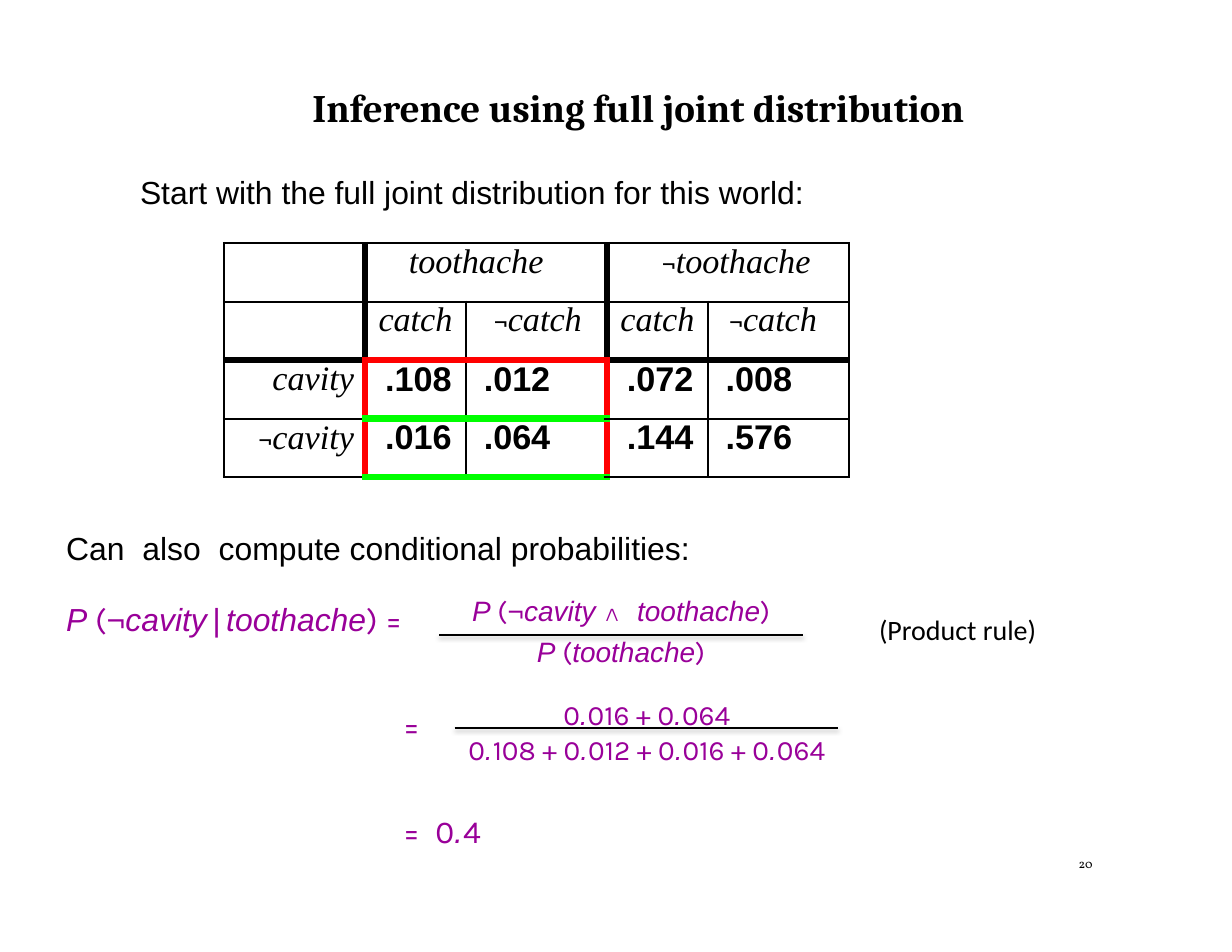
from dataclasses import dataclass, replace

import lxml.etree
import pptx
import pptx.dml.color
import pptx.enum.shapes
import pptx.enum.text
import pptx.oxml.ns
import pptx.util

Inches = pptx.util.Inches
Pt = pptx.util.Pt
Align = pptx.enum.text.PP_ALIGN
qn = pptx.oxml.ns.qn


@dataclass(frozen=True)
class Theme:
    black: str = "000000"
    formula: str = "990099"
    event: str = "FF0000"
    outcome: str = "00FF00"
    title: float = 25
    body: float = 20.5
    cell: float = 22
    math: float = 18
    page: float = 8
    thin: float = 1.57
    thick: float = 4.71
    rule: float = 0.75


@dataclass(frozen=True)
class Face:
    font: str
    size: float
    color: str = "000000"
    bold: bool = False
    italic: bool = False


@dataclass(frozen=True)
class Segment:
    text: str
    face: Face
    spacing: float = 0


@dataclass(frozen=True)
class Line:
    segments: list[Segment]
    align: Align = Align.LEFT
    indent: float = 0
    height: float | None = None
    before: float | None = None
    after: float | None = None


THEME = Theme()
PROSE = Face("Arial", THEME.body)
VARIABLE = Face("Arial", THEME.math, THEME.formula, italic=True)
NUMBER = Face("Karla", THEME.math, THEME.formula)
SYMBOL = Face("Courier New", THEME.math, THEME.formula)
NAME = Face("Times New Roman", THEME.cell, italic=True)
NEGATION = Face("Calibri", THEME.math)
VALUE = Face("Arial", THEME.cell, bold=True)


def write_line(paragraph, line: Line) -> None:
    paragraph.alignment = line.align
    paragraph._p.get_or_add_pPr().set("marL", str(Inches(line.indent)))
    if line.height:
        paragraph.line_spacing = Pt(line.height)
    if line.before:
        paragraph.space_before = Pt(line.before)
    if line.after:
        paragraph.space_after = Pt(line.after)
    for segment in line.segments:
        run = paragraph.add_run()
        run.text = segment.text
        face = segment.face
        run.font.name = face.font
        run.font.size = Pt(face.size)
        run.font.bold = face.bold
        run.font.italic = face.italic
        run.font.color.rgb = pptx.dml.color.RGBColor.from_string(face.color)
        if segment.spacing:
            run._r.get_or_add_rPr().set("spc", str(round(segment.spacing * 100)))


def add_text(slide, left: float, top: float, width: float, height: float,
             lines: list[Line], inset: bool = False, wrap: bool = True) -> None:
    frame = slide.shapes.add_textbox(
        Inches(left), Inches(top), Inches(width), Inches(height)).text_frame
    frame.word_wrap = wrap
    if not inset:
        frame.margin_left = frame.margin_right = 0
        frame.margin_top = frame.margin_bottom = 0
    for index, line in enumerate(lines):
        write_line(frame.add_paragraph() if index else frame.paragraphs[0], line)


def add_fraction_bar(slide, left: float, right: float, y: float) -> None:
    bar = slide.shapes.add_connector(
        pptx.enum.shapes.MSO_CONNECTOR.STRAIGHT,
        Inches(left), Inches(y), Inches(right), Inches(y))
    bar.line.width = Pt(THEME.rule)
    bar.line.color.rgb = pptx.dml.color.RGBColor.from_string(THEME.black)
    effects = lxml.etree.SubElement(bar._element.spPr, qn("a:effectLst"))
    shadow = lxml.etree.SubElement(
        effects, qn("a:outerShdw"), blurRad=str(Pt(3.1)), dist=str(Pt(1.6)),
        dir="5400000", rotWithShape="0")
    color = lxml.etree.SubElement(shadow, qn("a:srgbClr"), val=THEME.black)
    lxml.etree.SubElement(color, qn("a:alpha"), val="38000")


def vertical_edge(x: int, row: int) -> tuple[str, float]:
    if x in (1, 3):
        return (THEME.event if row >= 2 else THEME.black), THEME.thick
    return THEME.black, THEME.thin


def horizontal_edge(y: int, column: int) -> tuple[str, float]:
    if column in (1, 2) and y >= 2:
        return (THEME.event if y == 2 else THEME.outcome), THEME.thick
    return THEME.black, THEME.thick if y == 2 else THEME.thin


def set_borders(cell, row: int, column: int, span: int) -> None:
    edges = {
        "a:lnL": vertical_edge(column, row),
        "a:lnR": vertical_edge(column + span, row),
        "a:lnT": horizontal_edge(row, column),
        "a:lnB": horizontal_edge(row + 1, column),
    }
    properties = cell._tc.get_or_add_tcPr()
    for position, (tag, (color, width)) in enumerate(edges.items()):
        border = lxml.etree.Element(qn(tag), w=str(Pt(width)))
        fill = lxml.etree.SubElement(border, qn("a:solidFill"))
        lxml.etree.SubElement(fill, qn("a:srgbClr"), val=color)
        properties.insert(position, border)


def name(text: str, negated: bool = False) -> list[Segment]:
    return [Segment("¬", NEGATION)] * negated + [Segment(text, NAME)]


def add_joint_table(slide) -> None:
    widths = [1.26, 0.9, 1.26, 0.9, 1.26]
    table = slide.shapes.add_table(
        4, len(widths), Inches(2), Inches(2.17), Inches(sum(widths)), Inches(2.09)).table
    table.first_row = table.horz_banding = False
    for column, width in zip(table.columns, widths):
        column.width = Inches(width)
    for column in (1, 3):
        table.cell(0, column).merge(table.cell(0, column + 1))
    content = {
        (0, 1): Line(name("toothache"), indent=0.39),
        (0, 3): Line(name("toothache", True), indent=0.49),
        (1, 1): Line(name("catch"), Align.CENTER),
        (1, 2): Line(name("catch", True), indent=0.25),
        (1, 3): Line(name("catch"), Align.CENTER),
        (1, 4): Line(name("catch", True), indent=0.19),
        (2, 0): Line(name("cavity"), Align.RIGHT),
        (3, 0): Line(name("cavity", True), Align.RIGHT),
    }
    probabilities = [[".108", ".012", ".072", ".008"], [".016", ".064", ".144", ".576"]]
    for row, values in enumerate(probabilities, 2):
        for column, value in enumerate(values, 1):
            catch = column % 2 == 1
            content[row, column] = Line(
                [Segment(value, VALUE)], Align.CENTER if catch else Align.LEFT,
                0.05 if catch else 0.16)
    for row in range(4):
        for column in range(len(widths)):
            cell = table.cell(row, column)
            if cell.is_spanned:
                continue
            cell.margin_left = cell.margin_top = cell.margin_bottom = 0
            cell.margin_right = Inches(0.1 if column == 0 else 0)
            cell.fill.background()
            set_borders(cell, row, column, cell.span_width if cell.is_merge_origin else 1)
            if (row, column) in content:
                write_line(cell.text_frame.paragraphs[0], content[row, column])


def probability(*inner: Segment) -> list[Segment]:
    return [Segment("P ", VARIABLE), Segment("(", NUMBER), *inner, Segment(")", NUMBER)]


def decimal_sum(*decimals: str) -> list[Segment]:
    pieces = " + ".join(decimals).split(".")
    segments = [Segment(pieces[0], NUMBER)]
    for piece in pieces[1:]:
        segments += [Segment(".", VARIABLE), Segment(piece, NUMBER)]
    return segments


def enlarge(segments: list[Segment]) -> list[Segment]:
    return [replace(s, face=replace(s.face, size=THEME.body)) for s in segments]


def main() -> None:
    deck = pptx.Presentation()
    deck.slide_width, deck.slide_height = Inches(11), Inches(8.5)
    slide = deck.slides.add_slide(deck.slide_layouts[6])
    toothache = Segment("toothache", VARIABLE)
    negation = Segment("¬", SYMBOL)

    add_text(slide, 9.63, 7.66, 0.2, 0.12,
             [Line([Segment("20", Face("Vollkorn", THEME.page))], height=8.6)])
    add_text(slide, 2.79, 0.83, 6.49, 0.35, [Line(
        [Segment("Inference using full joint distribution",
                 Face("Cambria", THEME.title, bold=True))], height=24.3)])
    add_text(slide, 1.25, 1.54, 6.75, 0.35, [Line(
        [Segment("Start with the full joint distribution for this world:", PROSE)])])

    wide_space = Segment(" ", PROSE, 5.7)
    conditional = probability(
        negation, Segment("cavity", VARIABLE), Segment("|", SYMBOL), toothache)
    pitch = 22.7
    add_text(slide, 0.59, 4.75, 6.07, 3.51, [
        Line([Segment("Can", PROSE), wide_space, Segment("also", PROSE), wide_space,
              Segment("compute conditional probabilities:", PROSE)], height=pitch),
        Line(enlarge(conditional + [Segment(" =", NUMBER)]), height=pitch, before=pitch),
        Line(enlarge([Segment("=", NUMBER)]), indent=3.01, height=pitch, before=2 * pitch),
        Line(enlarge([Segment("=", NUMBER), Segment(" ", NUMBER, 5), *decimal_sum("0.4")]),
             indent=3.01, height=pitch, before=2 * pitch),
    ])
    add_joint_table(slide)

    add_text(slide, 3.67, 5.25, 3.75, 0.78, [
        Line(probability(negation, Segment("cavity ", VARIABLE), Segment("∧ ", SYMBOL),
                         toothache), Align.CENTER, after=5),
        Line(probability(toothache), Align.CENTER)], inset=True)
    add_fraction_bar(slide, 3.92, 7.17, 5.67)
    add_text(slide, 7.75, 5.42, 1.62, 0.4,
             [Line([Segment("(Product rule)", NEGATION)])], inset=True, wrap=False)
    add_text(slide, 3.92, 6.17, 3.71, 0.73, [
        Line(decimal_sum("0.016", "0.064"), Align.CENTER, height=22.4),
        Line(decimal_sum("0.108", "0.012", "0.016", "0.064"), Align.CENTER, height=22.4),
    ], inset=True, wrap=False)
    add_fraction_bar(slide, 4.06, 7.48, 6.5)
    deck.save("out.pptx")


if __name__ == "__main__":
    main()
